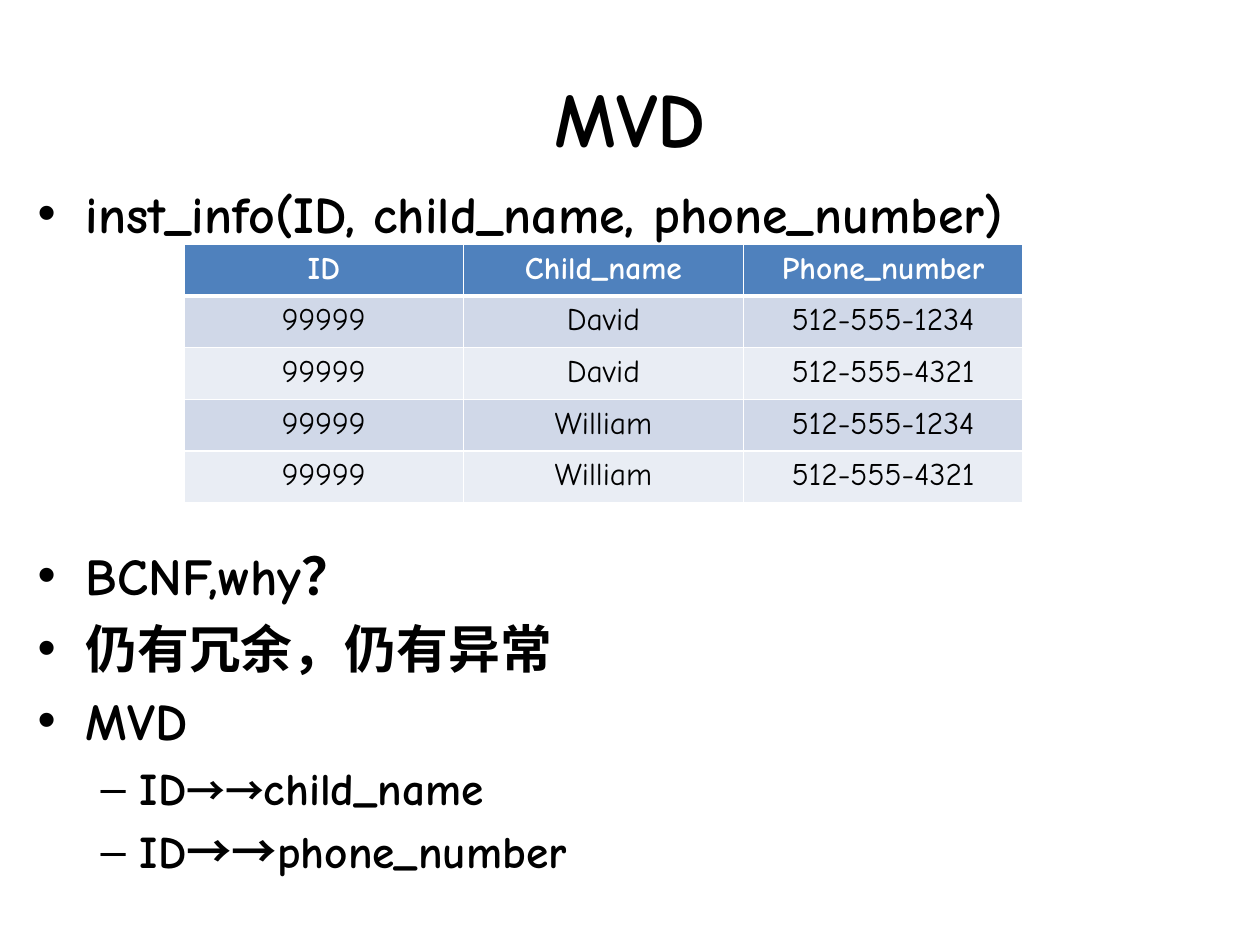
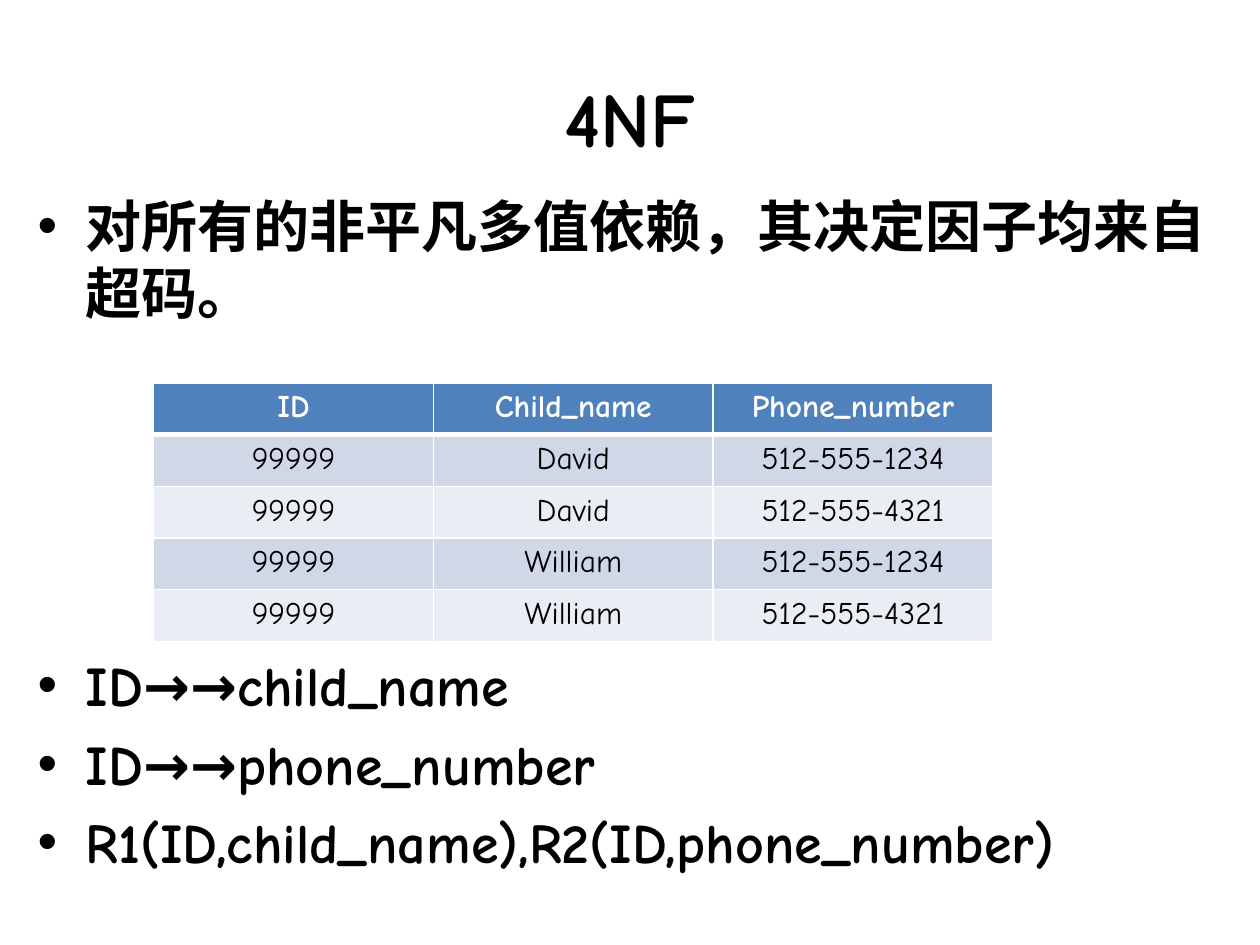
import pptx
import pptx.dml.color
import pptx.enum.text
import pptx.oxml
import pptx.oxml.ns
import pptx.util
from lxml import etree
from pptx.util import Inches

LATIN = "Comic Neue"
CHINESE = "Noto Sans CJK SC"
BLACK, WHITE = "000000", "FFFFFF"
HEADER_FILL = "4F81BD"
BAND_FILLS = ("D0D8E8", "E9EDF4")
LINE_HEIGHT, PARAGRAPH_GAP = 1.2, 0.2
BULLETS = (("•", 0.38, 0.38), ("–", 0.81, 0.31))
COLUMN_WIDTH, ROW_HEIGHT = 2.22, 0.41

INSTRUCTORS = (
    ("ID", "Child_name", "Phone_number"),
    ("99999", "David", "512-555-1234"),
    ("99999", "David", "512-555-4321"),
    ("99999", "William", "512-555-1234"),
    ("99999", "William", "512-555-4321"),
)


def color(value):
    """Turn a hex string into a colour."""
    return pptx.dml.color.RGBColor.from_string(value)


def add_child(parent, tag, **attributes):
    """Append a DrawingML element to a parent."""
    return etree.SubElement(parent, pptx.oxml.ns.qn(tag), attributes)


def set_typeface(font, properties, name):
    """Use one typeface for Latin and East Asian text."""
    font.name = name
    add_child(properties, "a:ea", typeface=name)


def style_paragraph(para, size, shade=BLACK, bold=True):
    """Set the font of a whole paragraph."""
    para.font.size = pptx.util.Pt(size)
    para.font.bold = bold
    para.font.color.rgb = color(shade)
    properties = para._p.get_or_add_pPr().get_or_add_defRPr()
    set_typeface(para.font, properties, LATIN)


def add_text_frame(page, left, top, width, height):
    """Add a wrapping text box and return its frame."""
    box = page.shapes.add_textbox(Inches(left), Inches(top), Inches(width), Inches(height))
    box.text_frame.word_wrap = True
    return box.text_frame


def add_title(page, text):
    """Add the centred slide title."""
    frame = add_text_frame(page, 0.5, 0.3, 9, 1.25)
    frame.vertical_anchor = pptx.enum.text.MSO_ANCHOR.MIDDLE
    para = frame.paragraphs[0]
    para.text = text
    para.alignment = pptx.enum.text.PP_ALIGN.CENTER
    style_paragraph(para, 44)


def add_bullet(para, text, size, level=0, lines_above=0):
    """Fill a bulleted paragraph, leaving room for lines above it."""
    para.text = text
    para.level = level
    gap = PARAGRAPH_GAP + lines_above * (LINE_HEIGHT + PARAGRAPH_GAP)
    para.space_before = pptx.util.Pt(round(size * gap, 1))
    mark, margin, hanging = BULLETS[level]
    properties = para._p.get_or_add_pPr()
    properties.set("marL", str(Inches(margin)))
    properties.set("indent", str(-Inches(hanging)))
    add_child(properties, "a:buFont", typeface="Arial")
    add_child(properties, "a:buChar", char=mark)
    style_paragraph(para, size)


def add_dependency(para, target, size, arrow_size):
    """Fill a second-level bullet with a multivalued dependency on ID."""
    add_bullet(para, "ID", size, level=1)
    arrows = para.add_run()
    arrows.text = "→→"
    arrows.font.size = pptx.util.Pt(arrow_size)
    set_typeface(arrows.font, arrows._r.get_or_add_rPr(), CHINESE)
    para.add_run().text = target


def set_borders(cell, top, bottom):
    """Draw white borders around a cell."""
    properties = cell._tc.get_or_add_tcPr()
    for side, width in (("L", 1), ("R", 1), ("T", top), ("B", bottom)):
        line = add_child(properties, f"a:ln{side}", w=str(pptx.util.Pt(width)))
        add_child(add_child(line, "a:solidFill"), "a:srgbClr", val=WHITE)


def add_instructor_table(page, left, top):
    """Add the banded table of instructors, children and phones."""
    rows, columns = len(INSTRUCTORS), len(INSTRUCTORS[0])
    table = page.shapes.add_table(
        rows, columns, Inches(left), Inches(top),
        Inches(COLUMN_WIDTH * columns), Inches(ROW_HEIGHT * rows)).table
    for column in table.columns:
        column.width = Inches(COLUMN_WIDTH)
    for index, record in enumerate(INSTRUCTORS):
        header = index == 0
        table.rows[index].height = Inches(ROW_HEIGHT)
        for cell, text in zip(table.rows[index].cells, record):
            set_borders(cell, 3 if index == 1 else 1, 3 if header else 1)
            cell.fill.solid()
            cell.fill.fore_color.rgb = color(HEADER_FILL if header else BAND_FILLS[(index - 1) % 2])
            para = cell.text_frame.paragraphs[0]
            para.text = text
            para.alignment = pptx.enum.text.PP_ALIGN.CENTER
            style_paragraph(para, 18, WHITE if header else BLACK, header)


def add_bullets(frame, texts, size, gap_index):
    """Fill a frame with bullets, leaving room for the table before one of them."""
    for index, text in enumerate(texts):
        para = frame.add_paragraph() if index else frame.paragraphs[0]
        add_bullet(para, text, size, lines_above=4 if index == gap_index else 0)


def build_mvd(page):
    """Build the slide on multivalued dependencies."""
    frame = add_text_frame(page, 0.2, 1.39, 9.61, 5.83)
    add_bullets(frame, ("inst_info(ID, child_name, phone_number)", "BCNF,why？",
                        "仍有冗余，仍有异常", "MVD"), 29.6, 1)
    for target, arrow_size in (("child_name", 22.2), ("phone_number", 25.9)):
        add_dependency(frame.add_paragraph(), target, 25.9, arrow_size)
    add_title(page, "MVD")
    add_instructor_table(page, 1.46, 1.94)


def build_fourth_normal_form(page):
    """Build the slide on the fourth normal form."""
    add_title(page, "4NF")
    frame = add_text_frame(page, 0.2, 1.47, 9.5, 5.7)
    add_bullets(frame, ("对所有的非平凡多值依赖，其决定因子均来自超码。", "ID→→child_name",
                        "ID→→phone_number", "R1(ID,child_name),R2(ID,phone_number)"), 32, 1)
    add_instructor_table(page, 1.22, 3.04)


def main():
    """Build and save the deck."""
    deck = pptx.Presentation()
    deck.slide_width, deck.slide_height = Inches(10), Inches(7.5)
    for build in (build_mvd, build_fourth_normal_form):
        build(deck.slides.add_slide(deck.slide_layouts[6]))
    deck.save("out.pptx")


if __name__ == "__main__":
    main()
